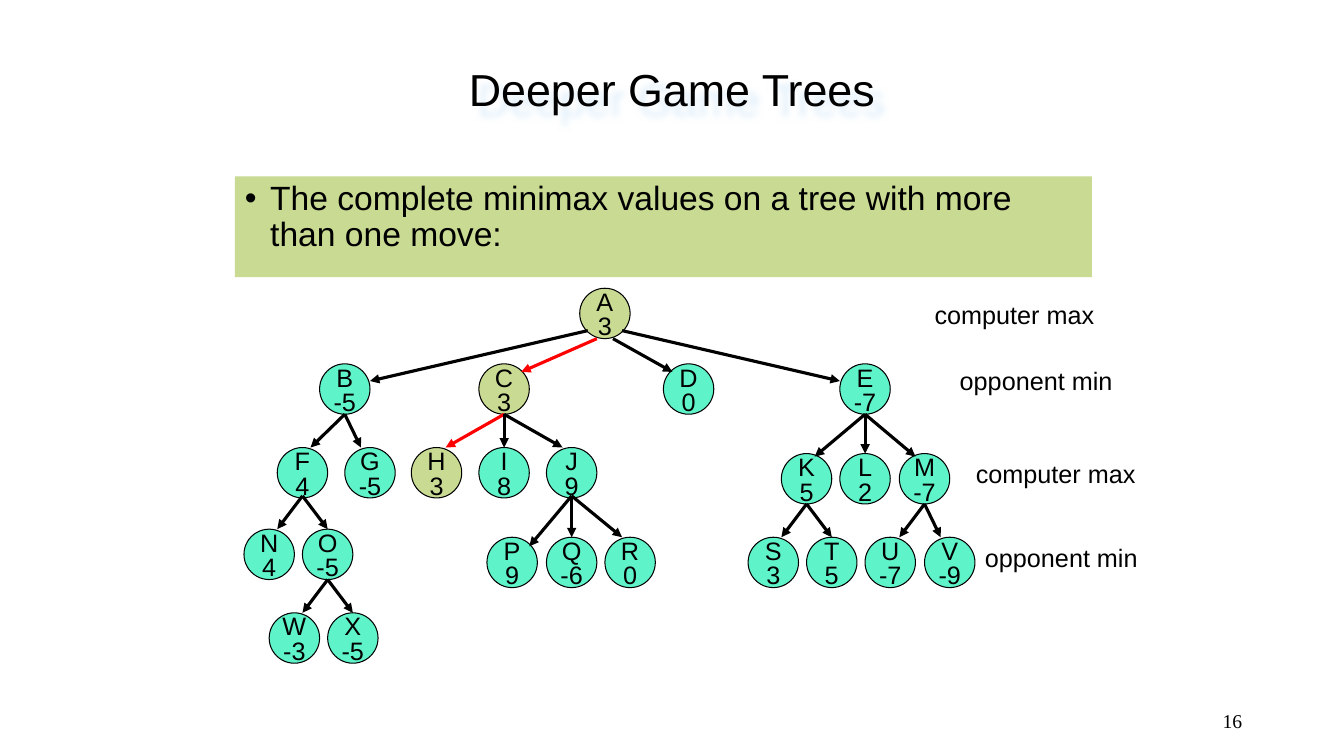
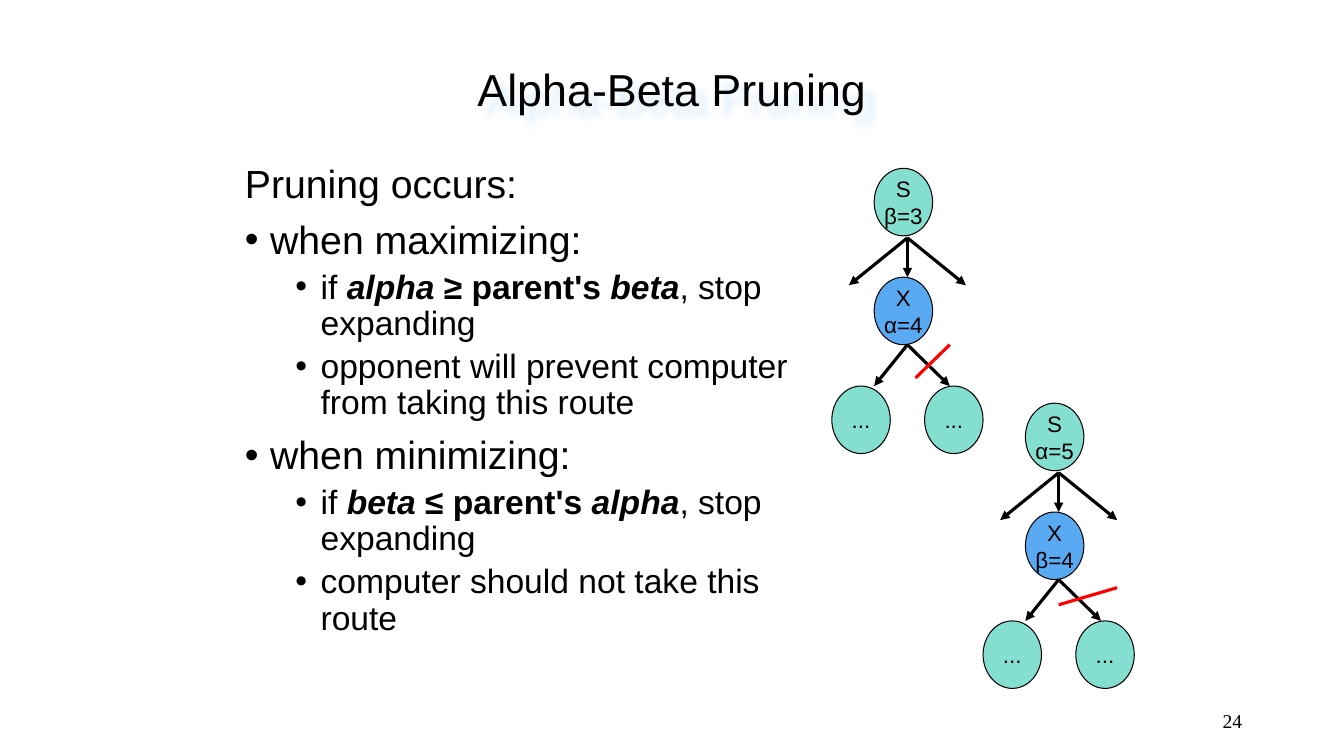
from dataclasses import dataclass
from typing import Any, NamedTuple

from lxml.etree import SubElement as add_tag
from pptx import Presentation
from pptx.dml.color import RGBColor as Rgb
from pptx.enum.shapes import MSO_CONNECTOR as Wire, MSO_SHAPE as Form
from pptx.enum.text import MSO_ANCHOR as Anchor, MSO_AUTO_SIZE as Fit, PP_ALIGN as Align
from pptx.oxml.ns import qn
from pptx.util import Emu, Pt

UNIT = 9144  # one px is a hundredth of an inch
FONT = "Arial"
HUES = {
    "ink": "000000", "red": "FF0000", "path": "C9DA92", "node": "5FF3CA",
    "leaf": "85DFD0", "mid": "59AAF2", "glow": "DDEEFB",
}
Point = tuple[int, int]


class Run(NamedTuple):
    text: str
    bold: bool = False
    slant: bool = False


@dataclass
class Item:
    runs: list[Run]
    size: int
    level: int = 0
    dot: bool = True


@dataclass
class Node:
    name: str
    value: str
    left: int
    top: int
    root: str = ""            # parent node
    tip: Point = (25, 0)      # arrow end, from this node's corner
    tail: Point = (25, 50)    # arrow start, from the parent's corner
    best: bool = False        # on the chosen path


class Label(NamedTuple):
    text: str
    left: int
    top: int
    width: int


class Prune(NamedTuple):
    left: int
    top: int
    outer: str
    inner: str
    cut: tuple[Point, Point]


# Shared helpers
def px(num: int) -> Emu:
    return Emu(num * UNIT)


def hue(key: str) -> Rgb:
    return Rgb.from_string(HUES[key])


def place(shape: Any, left: int, top: int, width: int, height: int) -> None:
    shape.left, shape.top = px(left), px(top)
    shape.width, shape.height = px(width), px(height)


def add_run(para: Any, run: Run, size: int, face: str = FONT) -> None:
    part = para.add_run()
    part.text = run.text
    font = part.font
    font.name, font.size = face, Pt(size)
    font.bold, font.italic = run.bold, run.slant
    font.color.rgb = hue("ink")


def set_frame(shape: Any, wrap: bool, anchor: Any) -> Any:
    frame = shape.text_frame
    frame.auto_size = Fit.NONE
    frame.word_wrap = wrap
    frame.vertical_anchor = anchor
    return frame


def add_text(slide: Any, text: str, box: tuple[int, int, int, int], size: int,
             face: str = FONT, align: Any = Align.LEFT, anchor: Any = Anchor.TOP) -> None:
    shape = slide.shapes.add_textbox(*map(px, box))
    para = set_frame(shape, False, anchor).paragraphs[0]
    para.alignment = align
    add_run(para, Run(text), size, face)


def add_oval(shapes: Any, box: tuple[int, int, int, int], fill: str,
             lines: list[str], size: int, pitch: float = 1.0) -> None:
    oval = shapes.add_shape(Form.OVAL, *map(px, box))
    oval.shadow.inherit = False
    oval.fill.solid()
    oval.fill.fore_color.rgb = hue(fill)
    oval.line.color.rgb = hue("ink")
    oval.line.width = Pt(0.75)
    frame = set_frame(oval, False, Anchor.MIDDLE)
    for num, text in enumerate(lines):
        para = frame.add_paragraph() if num else frame.paragraphs[0]
        para.alignment = Align.CENTER
        if num:
            para.line_spacing = pitch
        add_run(para, Run(text), size)


def add_line(shapes: Any, start: Point, end: Point, tint: str = "ink",
             head: bool = True) -> None:
    wire = shapes.add_connector(Wire.STRAIGHT, *map(px, start + end))
    wire.line.color.rgb = hue(tint)
    wire.line.width = Pt(2.25)
    if head:
        add_tag(wire.line._get_or_add_ln(), qn("a:tailEnd"), type="triangle")
    add_tag(wire._element.spPr, qn("a:effectLst"))


def shift(base: Point, step: Point) -> Point:
    return base[0] + step[0], base[1] + step[1]


def set_title(slide: Any, text: str) -> None:
    title = slide.shapes.title
    place(title, 233, 42, 867, 92)
    para = set_frame(title, False, Anchor.MIDDLE).paragraphs[0]
    para.alignment = Align.CENTER
    add_run(para, Run(text), 32)
    # Soft glow below the words
    effect = add_tag(title._element.spPr, qn("a:effectLst"))
    shade = add_tag(effect, qn("a:outerShdw"), blurRad="63500", dist="107763",
                    dir="2700000", algn="ctr", rotWithShape="0")
    add_tag(shade, qn("a:srgbClr"), val=HUES["glow"])


def set_body(slide: Any, box: tuple[int, int, int, int], items: list[Item]) -> Any:
    body = slide.placeholders[1]
    place(body, *box)
    frame = set_frame(body, True, Anchor.TOP)
    for num, item in enumerate(items):
        para = frame.add_paragraph() if num else frame.paragraphs[0]
        para.level = item.level
        props = para._p.get_or_add_pPr()
        props.set("marL", str(px(25 + 50 * item.level)))
        props.set("indent", str(px(-25)))
        if item.dot:
            add_tag(props, qn("a:buFont"), typeface=FONT)
            add_tag(props, qn("a:buChar"), char="•")
        else:
            add_tag(props, qn("a:buNone"))
        para.line_spacing = 0.9
        para.space_before = Pt((5 if item.level else 10) if num else 0)
        for run in item.runs:
            add_run(para, run, item.size)
    return body


def new_slide(deck: Any, title: str, page: str) -> Any:
    slide = deck.slides.add_slide(deck.slide_layouts[1])
    set_title(slide, title)
    add_text(slide, page, (942, 695, 300, 40), 14, "Times New Roman",
             Align.RIGHT, Anchor.MIDDLE)
    return slide


# Game tree
NODES = [
    Node("A", "3", 575, 286, best=True),
    Node("B", "-5", 317, 361, "A", (50, 17), (8, 42)),
    Node("C", "3", 475, 361, "A", (42, 8), (17, 50), True),
    Node("D", "0", 658, 361, "A", (9, 8), (33, 50)),
    Node("E", "-7", 833, 361, "A", (0, 17), (42, 42)),
    Node("F", "4", 275, 444, "B", (33, 0)),
    Node("G", "-5", 342, 444, "B", (16, 0)),
    Node("H", "3", 408, 444, "C", (34, 0), best=True),
    Node("I", "8", 475, 444, "C"),
    Node("J", "9", 542, 444, "C", (16, 0)),
    Node("K", "5", 775, 450, "E", (33, 3)),
    Node("L", "2", 833, 450, "E"),
    Node("M", "-7", 892, 450, "E", (16, 3)),
    Node("N", "4", 242, 525, "F", (33, 0), (25, 48)),
    Node("O", "-5", 300, 525, "F", tail=(25, 48)),
    Node("P", "9", 483, 533, "J", (42, 9), (25, 48)),
    Node("Q", "-6", 542, 533, "J", tail=(25, 48)),
    Node("R", "0", 600, 533, "J", (17, 0), (25, 48)),
    Node("S", "3", 742, 533, "K", (33, 0)),
    Node("T", "5", 800, 533, "K"),
    Node("U", "-7", 858, 533, "M", (34, 0)),
    Node("V", "-9", 917, 533, "M", (16, 0)),
    Node("W", "-3", 267, 608, "O", (33, 0)),
    Node("X", "-5", 325, 608, "O"),
]
LABELS = [
    Label("computer max", 917, 292, 178), Label("opponent min", 942, 358, 172),
    Label("computer max", 958, 450, 178), Label("opponent min", 967, 533, 172),
]


def game_slide(deck: Any) -> None:
    slide = new_slide(deck, "Deeper Game Trees", "16")
    text = "The complete minimax values on a tree with more than one move:"
    body = set_body(slide, (233, 175, 850, 100), [Item([Run(text)], 24)])
    body.fill.solid()
    body.fill.fore_color.rgb = hue("path")
    spots = {node.name: (node.left, node.top) for node in NODES}
    for node in NODES:
        add_oval(slide.shapes, (node.left, node.top, 50, 50),
                 "path" if node.best else "node", [node.name, node.value], 18, 0.8)
    for node in NODES:
        if node.root:
            add_line(slide.shapes, shift(spots[node.root], node.tail),
                     shift(spots[node.name], node.tip), "red" if node.best else "ink")
    for label in LABELS:
        add_text(slide, label.text, (label.left, label.top, label.width, 40), 18)


# Pruning
def rule(first: str, sign: str, last: str) -> Item:
    return Item([Run("if "), Run(first + " ", True, True),
                 Run(sign + " parent's ", True), Run(last, True, True),
                 Run(", stop expanding")], 24, 1)


ITEMS = [
    Item([Run("Pruning occurs:")], 28, dot=False),
    Item([Run("when maximizing:")], 28),
    rule("alpha", "≥", "beta"),
    Item([Run("opponent will prevent computer from taking this route")], 24, 1),
    Item([Run("when minimizing:")], 28),
    rule("beta", "≤", "alpha"),
    Item([Run("computer should not take this route")], 24, 1),
]
PRUNES = [
    Prune(825, 167, "β=3", "α=4", ((83, 208), (117, 175))),
    Prune(975, 400, "α=5", "β=4", ((75, 200), (133, 183))),
]
# Arrow ends by their shared start
FANS = {(75, 69): [(75, 108), (17, 116), (133, 116)],
        (75, 175): [(42, 216), (117, 216)]}


def draw_prune(slide: Any, tree: Prune) -> None:
    shapes = slide.shapes.add_group_shape().shapes
    base = (tree.left, tree.top)
    ovals = [((42, 0), "leaf", ["S", tree.outer]), ((42, 108), "mid", ["X", tree.inner]),
             ((0, 216), "leaf", ["..."]), ((92, 216), "leaf", ["..."])]
    for spot, fill, lines in ovals:
        add_oval(shapes, shift(base, spot) + (58, 67), fill, lines, 16)
    for start, ends in FANS.items():
        for end in ends:
            add_line(shapes, shift(base, start), shift(base, end))
    start, end = tree.cut
    add_line(shapes, shift(base, start), shift(base, end), "red", False)


def prune_slide(deck: Any) -> None:
    slide = new_slide(deck, "Alpha-Beta Pruning", "24")
    set_body(slide, (233, 158, 575, 558), ITEMS)
    for tree in PRUNES:
        draw_prune(slide, tree)


def main() -> None:
    deck = Presentation()
    deck.slide_width, deck.slide_height = px(1333), px(750)
    game_slide(deck)
    prune_slide(deck)
    deck.save("out.pptx")


if __name__ == "__main__":
    main()
